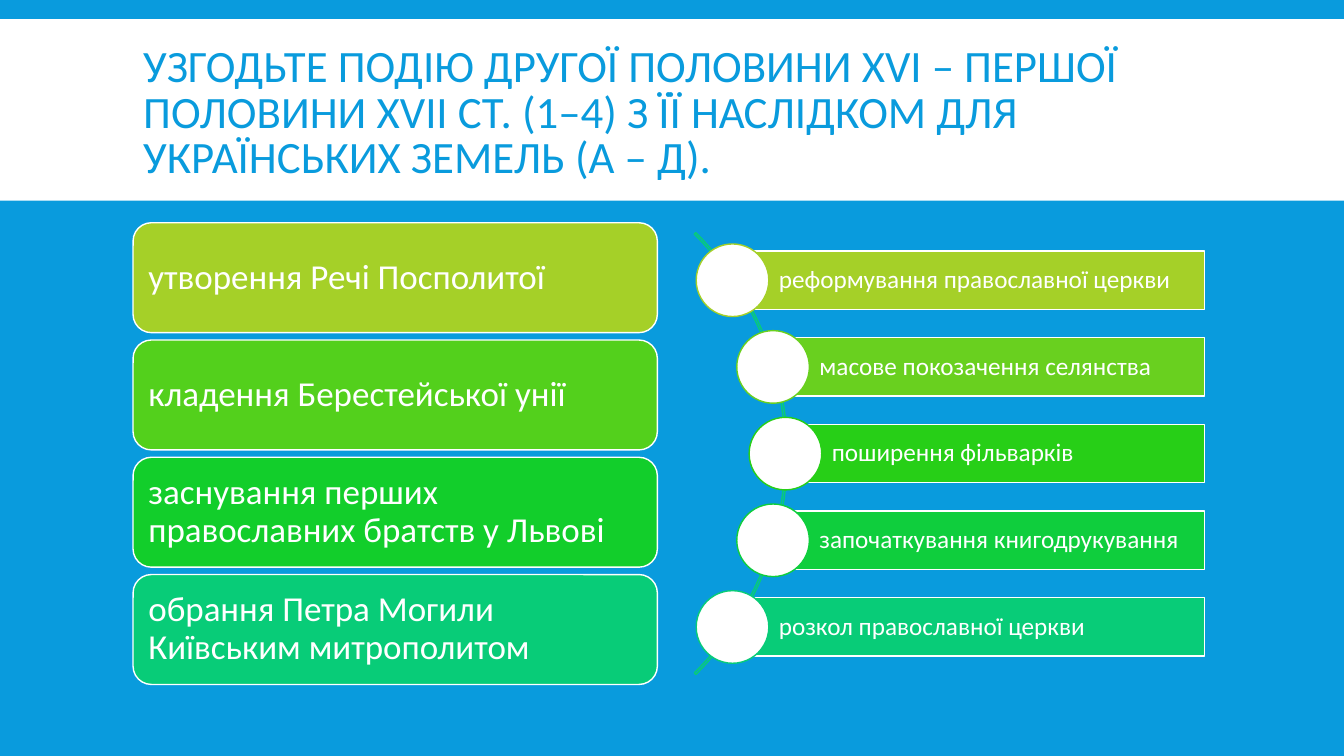
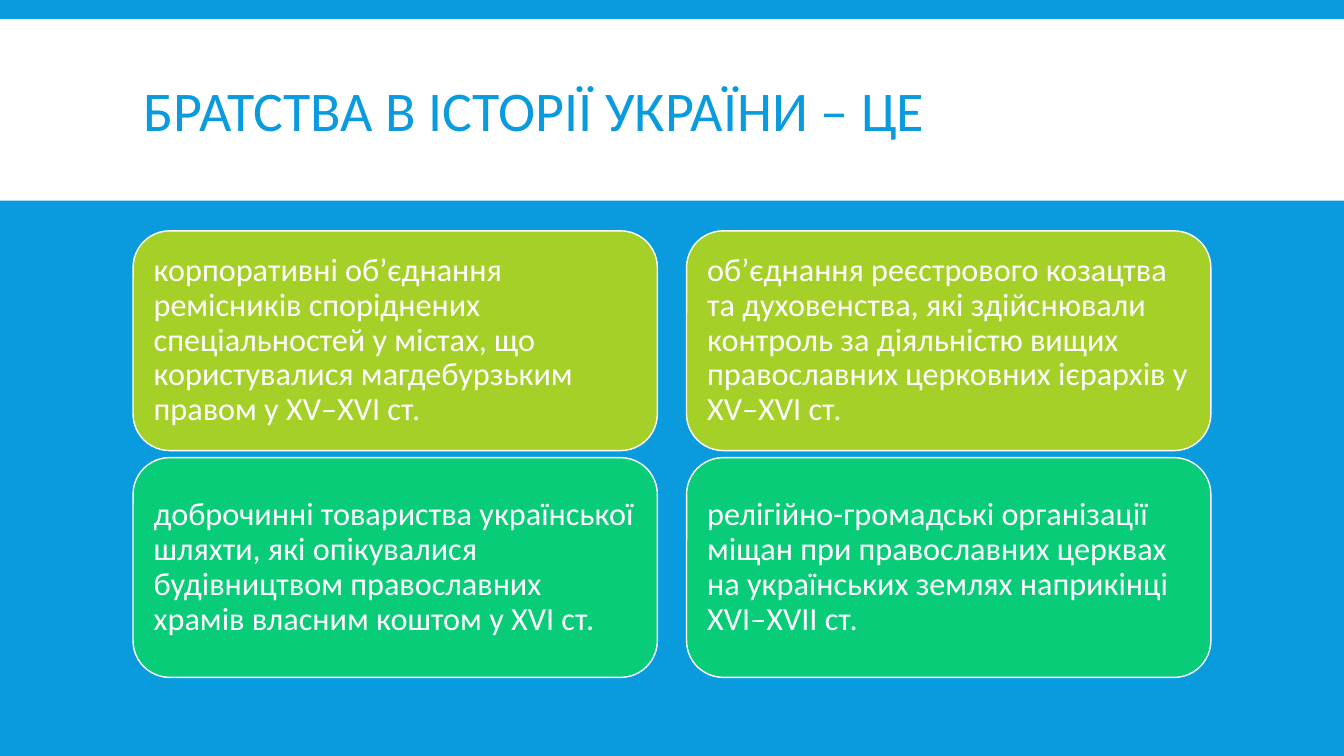
"""Build two Ukrainian history quiz slides on a shared blue and white master."""
import math

import pptx
import pptx.dml.color
import pptx.enum.shapes
import pptx.enum.text
import pptx.util

Inches = pptx.util.Inches
SHAPES = pptx.enum.shapes.MSO_SHAPE

FONT = "Calibri"
BLUE = "099BDD"
WHITE = "FFFFFF"
LIME = "A5D028"
TEAL = "08CC78"

LEFT = 1.32
CARD_WIDTH = 5.2
COLUMN_PITCH = 5.49

EVENTS = [
    ("утворення Речі Посполитої", LIME),
    ("кладення Берестейської унії", "53D01C"),
    ("заснування перших православних братств у Львові", "12CE2B"),
    ("обрання Петра Могили Київським митрополитом", TEAL),
]
OUTCOMES = [
    ("реформування православної церкви", LIME),
    ("масове покозачення селянства", "69D01F"),
    ("поширення фільварків", "27CF17"),
    ("започаткування книгодрукування", "0FCE3D"),
    ("розкол православної церкви", TEAL),
]
DEFINITION_COLUMNS = [
    ["корпоративні об’єднання ремісників споріднених спеціальностей у містах, "
     "що користувалися магдебурзьким правом у XV–XVI ст.",
     "доброчинні товариства української шляхти, які опікувалися будівництвом "
     "православних храмів власним коштом у XVI ст."],
    ["об’єднання реєстрового козацтва та духовенства, які здійснювали контроль "
     "за діяльністю вищих православних церковних ієрархів у XV–XVI ст.",
     "релігійно-громадські організації міщан при православних церквах на "
     "українських землях наприкінці XVI–XVII ст."],
]


def rgb(code):
    """Turn a hex string into a colour."""
    return pptx.dml.color.RGBColor.from_string(code)


def add_box(slide, kind, box, fill=None, line=None):
    """Add a flat preset shape at box (left, top, width, height)."""
    shape = slide.shapes.add_shape(kind, *map(Inches, box))
    shape.shadow.inherit = False
    if fill:
        shape.fill.solid()
        shape.fill.fore_color.rgb = rgb(fill)
    else:
        shape.fill.background()
    if line:
        shape.line.color.rgb = rgb(line)
        shape.line.width = pptx.util.Pt(1)
    else:
        shape.line.fill.background()
    return shape


def set_text(shape, text, size, color=WHITE, spacing=0.9, inset=0.1, left_inset=None):
    """Write left-aligned, vertically centred text into a shape."""
    frame = shape.text_frame
    frame.text = text
    frame.word_wrap = True
    frame.auto_size = pptx.enum.text.MSO_AUTO_SIZE.NONE
    frame.vertical_anchor = pptx.enum.text.MSO_ANCHOR.MIDDLE
    frame.margin_top = frame.margin_bottom = frame.margin_right = Inches(inset)
    frame.margin_left = Inches(inset if left_inset is None else left_inset)
    paragraph = frame.paragraphs[0]
    paragraph.alignment = pptx.enum.text.PP_ALIGN.LEFT
    paragraph.line_spacing = spacing
    paragraph.font.name = FONT
    paragraph.font.size = pptx.util.Pt(size)
    paragraph.font.color.rgb = rgb(color)


def style_master(master, slide):
    """Give the master its background, title band and title position."""
    master.background.fill.solid()
    master.background.fill.fore_color.rgb = rgb(BLUE)
    band = add_box(slide, SHAPES.RECTANGLE, (0, 0.19, 13.33, 1.8), WHITE).element
    band.nvSpPr.cNvPr.set("id", "20")
    master.shapes.element.insert(2, band)
    title = master.placeholders[0]
    title.left, title.top = Inches(LEFT), Inches(0.31)
    title.width, title.height = Inches(10.7), Inches(1.65)


def add_title(slide, text, size):
    """Fill the title placeholder."""
    set_text(slide.shapes.title, text, size, BLUE, spacing=0.85)


def add_card(slide, text, box, fill, size):
    """Add a rounded card with text."""
    card = add_box(slide, SHAPES.ROUNDED_RECTANGLE, box, fill, WHITE)
    set_text(card, text, size)


def add_curved_list(slide, items):
    """Add bars with round markers that follow an arc."""
    center_x, center_y, radius = 4.71, 4.5, 3.1
    arc = add_box(slide, SHAPES.BLOCK_ARC,
                  (center_x - radius, center_y - radius, 2 * radius, 2 * radius),
                  line=TEAL)
    arc.adjustments[0] = 189
    arc.adjustments[1] = 27
    arc.adjustments[2] = 0.0035

    pitch, marker, bar_height, bar_right = 0.86, 0.72, 0.58, 11.95
    for index, (text, color) in enumerate(items):
        offset = (index - (len(items) - 1) / 2) * pitch
        x = center_x + math.sqrt(3.08 ** 2 - offset ** 2)
        y = center_y + offset
        bar = add_box(slide, SHAPES.RECTANGLE,
                      (x, y - bar_height / 2, bar_right - x, bar_height), color, WHITE)
        set_text(bar, text, 18, inset=0.05, left_inset=0.46)
        add_box(slide, SHAPES.OVAL,
                (x - marker / 2, y - marker / 2, marker, marker), WHITE, color)


def build_matching(slide):
    """Build the slide that matches events with outcomes."""
    add_title(slide, "УЗГОДЬТЕ ПОДІЮ ДРУГОЇ ПОЛОВИНИ ХVІ – ПЕРШОЇ ПОЛОВИНИ ХVІІ СТ. "
                     "(1–4) З ЇЇ НАСЛІДКОМ ДЛЯ УКРАЇНСЬКИХ ЗЕМЕЛЬ (А – Д).", 32)
    for row, (text, color) in enumerate(EVENTS):
        add_card(slide, text, (LEFT, 2.21 + row * 3.49 / 3, CARD_WIDTH, 1.09), color, 25)
    add_curved_list(slide, OUTCOMES)


def build_definitions(slide):
    """Build the slide with four possible definitions."""
    add_title(slide, "БРАТСТВА В ІСТОРІЇ УКРАЇНИ – ЦЕ", 40)
    for column, texts in enumerate(DEFINITION_COLUMNS):
        for row, (text, color) in enumerate(zip(texts, (LIME, TEAL))):
            box = (LEFT + column * COLUMN_PITCH, 2.29 + row * 2.25, CARD_WIDTH, 2.18)
            add_card(slide, text, box, color, 23)


def main():
    """Create and save the presentation."""
    deck = pptx.Presentation()
    deck.slide_width, deck.slide_height = Inches(13.33), Inches(7.5)
    title_only = deck.slide_layouts[5]
    matching, definitions = (deck.slides.add_slide(title_only) for _ in range(2))
    style_master(deck.slide_master, matching)
    build_matching(matching)
    build_definitions(definitions)
    deck.save("out.pptx")


if __name__ == "__main__":
    main()
